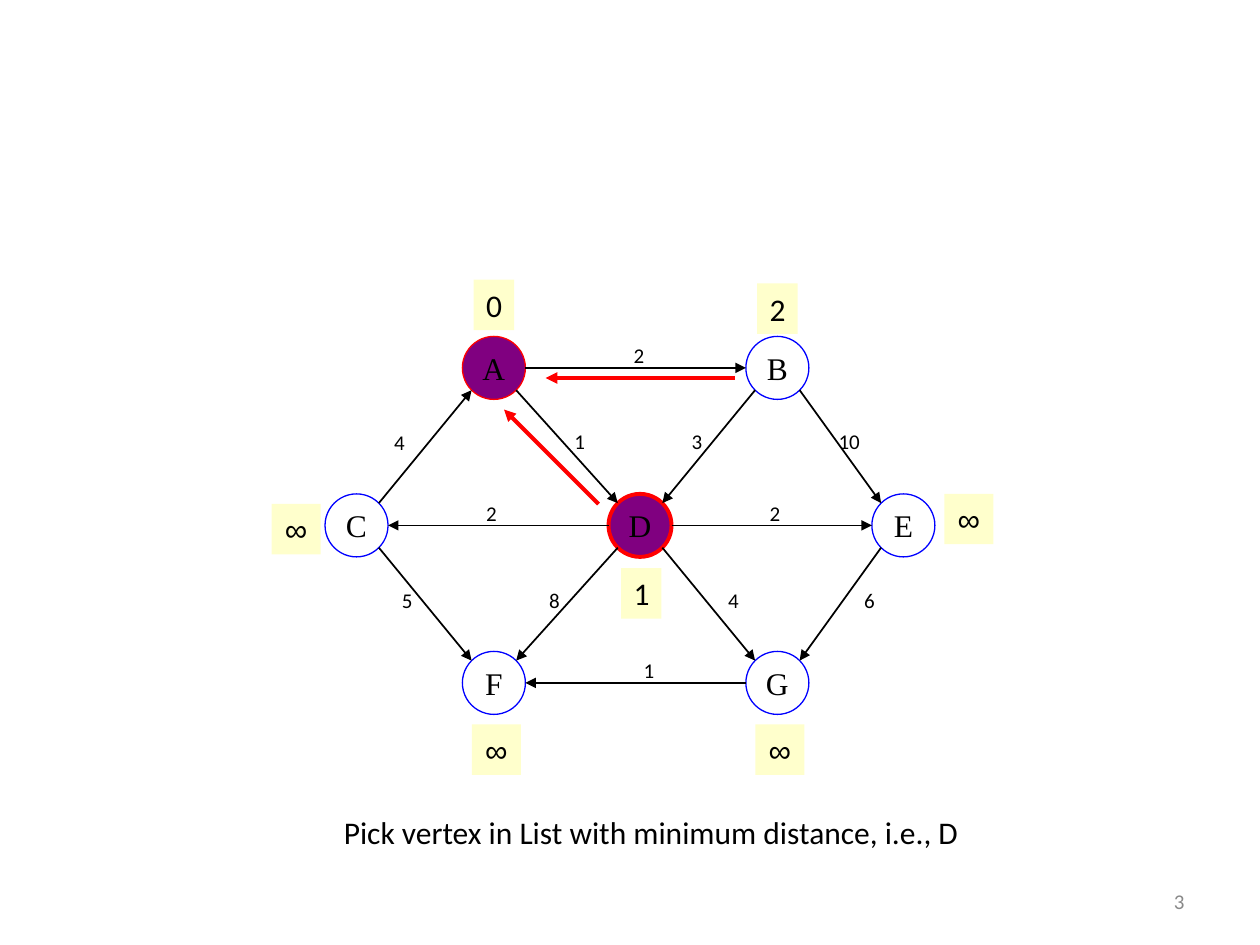
from math import copysign, sqrt

from lxml.etree import SubElement
from pptx import Presentation
from pptx.dml.color import RGBColor
from pptx.enum.shapes import MSO_CONNECTOR as Connector, MSO_SHAPE as Shape
from pptx.enum.text import MSO_ANCHOR as Anchor, MSO_AUTO_SIZE as AutoSize, PP_ALIGN as Align
from pptx.oxml.ns import qn
from pptx.util import Inches, Pt

BLACK, RED, BLUE = "000000", "FF0000", "0000FF"
PURPLE, CREAM, GREY = "800080", "FFFFCC", "898989"
RADIUS = 0.25

VERTICES = {
    "A": (1.34, 0.25), "B": (3.59, 0.25),
    "C": (0.25, 1.5), "D": (2.5, 1.5), "E": (4.59, 1.5),
    "F": (1.34, 2.75), "G": (3.59, 2.75),
}
VISITED = {"A": 0.75, "D": 2.25}
EDGES = [
    ("A", "B", "2", (2.49, 0.15)), ("A", "D", "1", (2.02, 0.83)),
    ("B", "D", "3", (2.95, 0.83)), ("B", "E", "10", (4.16, 0.83)),
    ("C", "A", "4", (0.59, 0.84)), ("C", "F", "5", (0.65, 2.09)),
    ("D", "C", "2", (1.32, 1.4)), ("D", "E", "2", (3.57, 1.4)),
    ("D", "F", "8", (1.82, 2.09)), ("D", "G", "4", (3.24, 2.09)),
    ("E", "G", "6", (4.32, 2.09)), ("G", "F", "1", (2.57, 2.65)),
]
DISTANCES = [
    ("0", (1.34, -0.25)), ("2", (3.59, -0.22)), ("∞", (-0.23, 1.53)),
    ("1", (2.51, 2.04)), ("∞", (5.11, 1.45)),
    ("∞", (1.36, 3.28)), ("∞", (3.61, 3.28)),
]
PREDECESSORS = [((2.17, 1.33), (1.42, 0.58)), ((3.25, 0.33), (1.75, 0.33))]


def color(code):
    """Turn a hex string into a colour."""
    return RGBColor.from_string(code)


def write(box, text, size, font="Calibri", ink=BLACK, align=Align.CENTER, anchor=Anchor.MIDDLE):
    """Put one unwrapped line of text in a shape."""
    frame = box.text_frame
    frame.word_wrap = False
    frame.vertical_anchor = anchor
    para = frame.paragraphs[0]
    para.alignment = align
    span = para.add_run()
    span.text = text
    span.font.size = Pt(size)
    span.font.name = font
    span.font.color.rgb = color(ink)


def add_text(page, left, top, width, height, text, size, **style):
    """Add a text box holding one line."""
    box = page.shapes.add_textbox(Inches(left), Inches(top), Inches(width), Inches(height))
    write(box, text, size, **style)
    return box


def add_arrow(page, start, end, ink, weight):
    """Draw a straight arrow with a triangular head at its end."""
    points = [Inches(value) for value in (*start, *end)]
    arrow = page.shapes.add_connector(Connector.STRAIGHT, *points)
    arrow.line.color.rgb = color(ink)
    arrow.line.width = Pt(weight)
    SubElement(arrow.line._get_or_add_ln(), qn("a:tailEnd"), type="triangle")
    SubElement(arrow._element.spPr, qn("a:effectLst"))


def add_vertex(page, center, name):
    """Draw a named circle, filled when the vertex is visited."""
    x, y = center
    circle = page.shapes.add_shape(
        Shape.OVAL, Inches(x - RADIUS), Inches(y - RADIUS), Inches(2 * RADIUS), Inches(2 * RADIUS))
    circle.shadow.inherit = False
    if name in VISITED:
        circle.fill.solid()
        circle.fill.fore_color.rgb = color(PURPLE)
    else:
        circle.fill.background()
    circle.line.color.rgb = color(RED if name in VISITED else BLUE)
    circle.line.width = Pt(VISITED.get(name, 0.75))
    write(circle, name, 18, font="Times New Roman")


def add_edge(page, start, end):
    """Join two circles at their facing side or diagonal points."""
    dx, dy = end[0] - start[0], end[1] - start[1]
    reach = RADIUS / sqrt(2) if dy else RADIUS
    step_x = copysign(reach, dx)
    step_y = copysign(reach, dy) if dy else 0
    add_arrow(page, (start[0] + step_x, start[1] + step_y),
              (end[0] - step_x, end[1] - step_y), BLACK, 1)


def add_weight(page, center, text):
    """Write an edge weight around its centre."""
    width, height = 0.19 + 0.09 * len(text), 0.3
    box = add_text(page, center[0] - width / 2, center[1] - height / 2, width, height, text, 12)
    box.text_frame.auto_size = AutoSize.SHAPE_TO_FIT_TEXT


def add_distance(page, center, text):
    """Draw a distance tag around its centre."""
    infinite = text == "∞"
    width, height = 0.39 if infinite else 0.32, 0.4
    tag = page.shapes.add_shape(
        Shape.RECTANGLE, Inches(center[0] - width / 2), Inches(center[1] - height / 2),
        Inches(width), Inches(height))
    tag.shadow.inherit = False
    tag.fill.solid()
    tag.fill.fore_color.rgb = color(CREAM)
    tag.line.fill.background()
    write(tag, text, 18, font="Arial" if infinite else "Calibri", anchor=Anchor.TOP)
    tag.text_frame.auto_size = AutoSize.SHAPE_TO_FIT_TEXT


def add_graph(page, left, top):
    """Draw the weighted graph with its distances from a top left corner."""
    def place(point):
        """Shift a point of the graph onto the slide."""
        return left + point[0], top + point[1]

    for name, center in VERTICES.items():
        add_vertex(page, place(center), name)
    for start, end, weight, center in EDGES:
        add_edge(page, place(VERTICES[start]), place(VERTICES[end]))
        add_weight(page, place(center), weight)
    for text, center in DISTANCES:
        add_distance(page, place(center), text)
    for start, end in PREDECESSORS:
        add_arrow(page, place(start), place(end), RED, 2.25)


def main():
    """Build and save the slide."""
    deck = Presentation()
    deck.slide_width, deck.slide_height = Inches(10), Inches(7.5)
    page = deck.slides.add_slide(deck.slide_layouts[6])
    number = add_text(page, 7.17, 6.95, 2.33, 0.4, "3", 12, ink=GREY, align=Align.RIGHT)
    number.text_frame.word_wrap = True
    caption = add_text(page, 2.63, 6.4, 5.09, 0.4,
                       "Pick vertex in List with minimum distance, i.e., D", 18,
                       align=Align.LEFT, anchor=Anchor.TOP)
    caption.text_frame.auto_size = AutoSize.SHAPE_TO_FIT_TEXT
    add_graph(page, 2.58, 2.67)
    deck.save("out.pptx")


if __name__ == "__main__":
    main()
